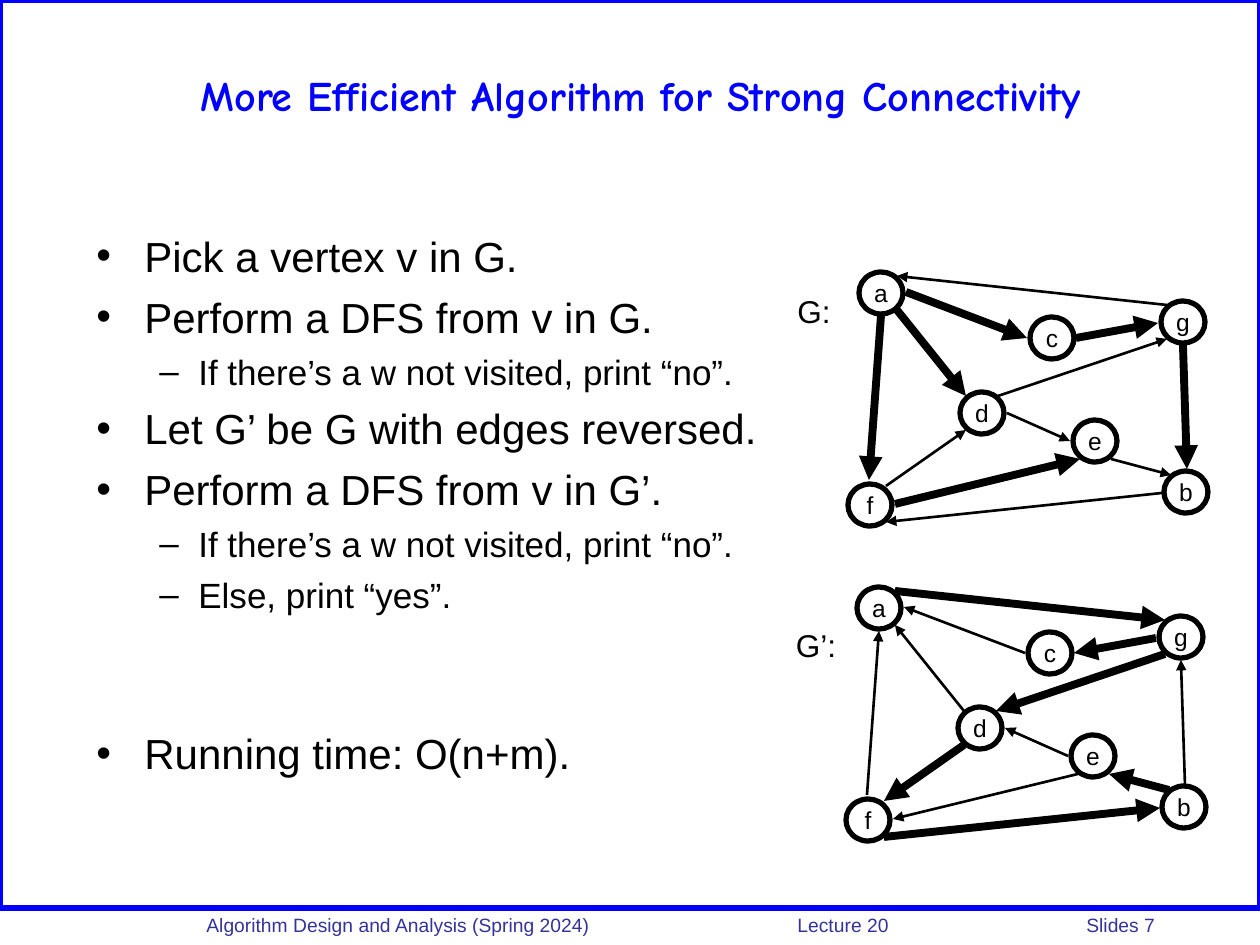
"""Build the slide on testing strong connectivity with two graph searches."""
import pptx
import pptx.dml.color
import pptx.enum.shapes
import pptx.enum.text
import pptx.oxml.ns
import pptx.util
from lxml import etree

RGB = pptx.dml.color.RGBColor
BLACK = RGB(0x00, 0x00, 0x00)
WHITE = RGB(0xFF, 0xFF, 0xFF)
BLUE = RGB(0x00, 0x00, 0xFF)
INDIGO = RGB(0x33, 0x33, 0x99)
PX = 914400 // 126
SHAPE = pptx.enum.shapes.MSO_SHAPE
ALIGN = pptx.enum.text.PP_ALIGN
ANCHOR = pptx.enum.text.MSO_ANCHOR

NODE_SIZE = (44, 42)
NODES = {
    "a": (859, 272), "d": (960, 392), "c": (1030, 317), "b": (1164, 471),
    "e": (1073, 420), "f": (848, 484), "g": (1161, 301),
}
EDGES = {
    "af": ((881, 316), (869, 480)),
    "ad": ((897, 310), (966, 396)),
    "ac": ((906, 292), (1027, 338)),
    "ga": ((1167, 305), (897, 276)),
    "cg": ((1076, 338), (1158, 323)),
    "gb": ((1183, 345), (1187, 469)),
    "de": ((1007, 413), (1070, 441)),
    "eb": ((1111, 459), (1171, 475)),
    "fd": ((886, 486), (966, 430)),
    "fe": ((895, 504), (1080, 459)),
    "bf": ((1162, 493), (886, 522)),
    "dg": ((998, 396), (1167, 339)),
}
FORWARD_TREE = {"af", "ad", "ac", "cg", "gb", "fe"}
REVERSE_TREE = {"ga", "cg", "eb", "fd", "bf", "dg"}
STEPS = [
    (0, "Pick a vertex v in G.", 0),
    (0, "Perform a DFS from v in G.", 6),
    (1, "If there’s a w not visited, print “no”.", 5),
    (0, "Let G’ be G with edges reversed.", 6),
    (0, "Perform a DFS from v in G’.", 6),
    (1, "If there’s a w not visited, print “no”.", 5),
    (1, "Else, print “yes”.", 5),
    (0, "Running time: O(n+m).", 64),
]
LEVELS = [
    {"size": 24, "bullet": "•", "margin": 48, "indent": -48},
    {"size": 20, "bullet": "–", "margin": 102, "indent": -39},
]


def sub(parent, tag, **attrs):
    """Append a child element with the given attributes."""
    child = etree.SubElement(parent, pptx.oxml.ns.qn(tag))
    for name, value in attrs.items():
        child.set(name, str(value))
    return child


def write(p, text, size=14, font="Arial", color=BLACK, bold=False,
          align=ALIGN.LEFT, before=0, bullet=None, margin=0, indent=0, tabs=()):
    """Fill a paragraph with one formatted run."""
    p.alignment = align
    p.space_before = pptx.util.Pt(before)
    p_pr = p._p.get_or_add_pPr()
    if bullet:
        p_pr.set("marL", str(margin * PX))
        p_pr.set("indent", str(indent * PX))
        sub(p_pr, "a:buFont", typeface=font)
        sub(p_pr, "a:buChar", char=bullet)
    if tabs:
        tab_list = sub(p_pr, "a:tabLst")
        for stop in tabs:
            sub(tab_list, "a:tab", pos=stop * PX, algn="l")
    r = p.add_run()
    r.text = text
    r.font.size = pptx.util.Pt(size)
    r.font.name = font
    r.font.bold = bold
    r.font.color.rgb = color


class Deck:
    """Hold the style and the current slide."""

    def __init__(self):
        """Start a presentation with one title-only slide."""
        self.prs = pptx.Presentation()
        self.prs.slide_width = 1260 * PX
        self.prs.slide_height = 945 * PX
        self.s = self.prs.slides.add_slide(self.prs.slide_layouts[5])

    def title(self, text, x, y, w, h):
        """Place and fill the title placeholder."""
        sp = self.s.shapes.title
        sp.left, sp.top, sp.width, sp.height = (v * PX for v in (x, y, w, h))
        sp.text_frame.vertical_anchor = ANCHOR.MIDDLE
        write(sp.text_frame.paragraphs[0], text, size=24, font="Comic Neue",
              color=BLUE, bold=True, align=ALIGN.CENTER)

    def text_box(self, x, y, w, h):
        """Add an empty text box and return its text frame."""
        tf = self.s.shapes.add_textbox(x * PX, y * PX, w * PX, h * PX).text_frame
        tf.word_wrap = True
        return tf

    def label(self, text, x, y, w, h, **fmt):
        """Add a one-line text box."""
        write(self.text_box(x, y, w, h).paragraphs[0], text, **fmt)

    def outline(self, kind, x, y, w, h, color):
        """Add a shape with a 3 pt outline and no fill."""
        sp = self.s.shapes.add_shape(kind, x * PX, y * PX, w * PX, h * PX)
        sp.shadow.inherit = False
        sp.fill.background()
        sp.line.color.rgb = color
        sp.line.width = pptx.util.Pt(3)
        return sp

    def node(self, name, x, y):
        """Add a lettered graph vertex."""
        sp = self.outline(SHAPE.OVAL, x, y, *NODE_SIZE, BLACK)
        sp.fill.solid()
        sp.fill.fore_color.rgb = WHITE
        tf = sp.text_frame
        tf.word_wrap = False
        tf.vertical_anchor = ANCHOR.MIDDLE
        write(tf.paragraphs[0], name, align=ALIGN.CENTER)

    def arrow(self, start, end, width):
        """Add a straight arrow between two points."""
        points = [v * PX for v in (*start, *end)]
        line = self.s.shapes.add_connector(
            pptx.enum.shapes.MSO_CONNECTOR.STRAIGHT, *points)
        line.line.color.rgb = BLACK
        line.line.width = pptx.util.Pt(width)
        sub(line.line._get_or_add_ln(), "a:tailEnd", type="triangle")
        sub(line._element.spPr, "a:effectLst")

    def graph(self, tree, dx=0, dy=0, is_reversed=False):
        """Draw the graph or its reverse, with the tree edges bold."""
        for name, (x, y) in NODES.items():
            self.node(name, x + dx, y + dy)
        for name, edge in EDGES.items():
            ends = [(x + dx, y + dy) for x, y in edge]
            if is_reversed:
                ends.reverse()
            self.arrow(*ends, 4.5 if name in tree else 1.5)

    def steps(self, items, x, y, w, h):
        """Add the two-level bullet list."""
        tf = self.text_box(x, y, w, h)
        for i, (level, text, before) in enumerate(items):
            p = tf.add_paragraph() if i else tf.paragraphs[0]
            p.level = level
            write(p, text, before=before, **LEVELS[level])


def main():
    """Build and save the slide."""
    deck = Deck()
    deck.outline(SHAPE.RECTANGLE, 0, 0, 1260, 908, BLUE)
    deck.label("Algorithm Design and Analysis (Spring 2024)\tLecture 20\tSlides 7",
               194, 907, 1066, 33, size=11, color=INDIGO, tabs=(591, 880))
    deck.title("More Efficient Algorithm for Strong Connectivity",
               105, 21, 1071, 147)
    deck.steps(STEPS, 84, 224, 693, 615)
    deck.label("G:", 769, 286, 90, 50, size=18, align=ALIGN.CENTER)
    deck.label("G’:", 771, 620, 90, 50, size=18, align=ALIGN.CENTER)
    deck.graph(FORWARD_TREE)
    deck.graph(REVERSE_TREE, dx=-2, dy=315, is_reversed=True)
    deck.prs.save("out.pptx")


if __name__ == "__main__":
    main()
